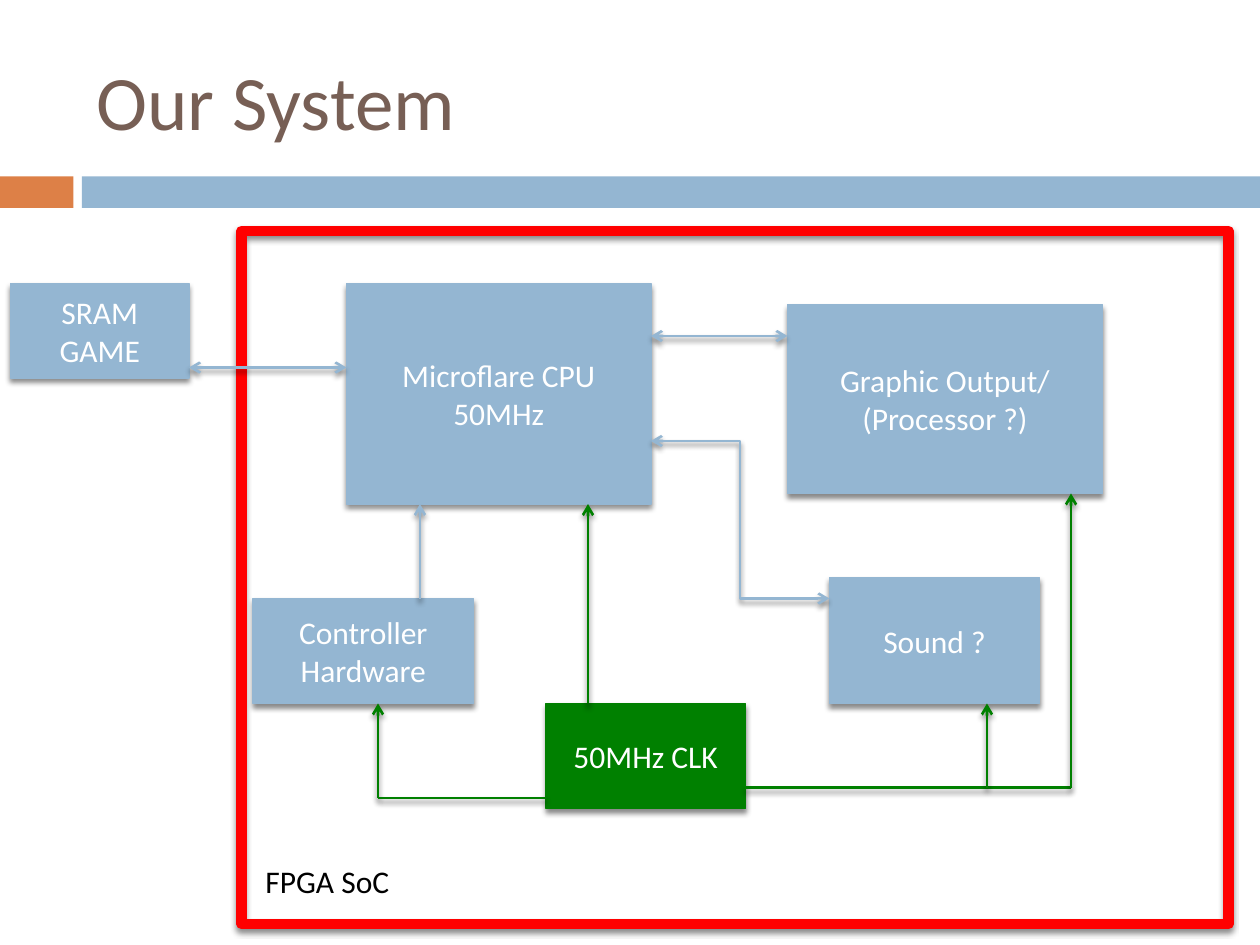
from dataclasses import dataclass

from pptx import Presentation
from pptx.dml.color import RGBColor
from pptx.enum.shapes import MSO_CONNECTOR as Connector, MSO_SHAPE as Preset
from pptx.enum.text import MSO_ANCHOR as Anchor, PP_ALIGN as Align
from pptx.oxml import parse_xml
from pptx.oxml.ns import nsdecls
from pptx.util import Inches, Pt

COLUMNS, ROWS = 120, 90
FONT = "Calibri"
BLUE, GREEN, RED, ORANGE = "94B6D2", "008000", "FF0000", "DD8047"
WHITE, BLACK, BROWN = "FFFFFF", "000000", "775F55"


@dataclass(frozen=True)
class Area:
    column: float
    row: float
    columns: float
    rows: float


@dataclass(frozen=True)
class Block:
    area: Area
    lines: tuple[str, ...]
    color: str = BLUE


@dataclass(frozen=True)
class Link:
    start: tuple[float, float]
    end: tuple[float, float]
    color: str = BLUE
    head: bool = False
    tail: bool = True
    kind: Connector = Connector.STRAIGHT


BARS = ((Area(0, 16.8, 7, 3), ORANGE), (Area(7.8, 16.8, 112.2, 3), BLUE))
TITLE = Area(8, 3, 107, 13)
FRAME = Area(23, 22, 94, 66)
FRAME_LABEL = Area(24.1, 81.5, 21, 4.8)

BLOCKS = (
    Block(Area(1, 27, 17, 9), ("SRAM", "GAME")),
    Block(Area(33, 27, 29, 21), ("Microflare CPU", "50MHz")),
    Block(Area(24.1, 57, 21, 10), ("Controller", "Hardware")),
    Block(Area(52, 67, 19, 10), ("50MHz CLK",), GREEN),
    Block(Area(75, 29, 30, 18), ("Graphic Output/", "(Processor ?)")),
    Block(Area(79, 55, 20, 12), ("Sound ?",)),
)

LINKS = (
    Link((62, 32), (75, 32), head=True),
    Link((18, 35), (33, 35), head=True),
    Link((40, 57), (40, 48)),
    Link((79, 57), (62, 42), head=True, kind=Connector.ELBOW),
    Link((56, 67), (56, 48), GREEN),
    Link((36, 76), (36, 67), GREEN),
    Link((36, 76), (52, 76), GREEN, tail=False),
    Link((71, 75), (102, 75), GREEN, tail=False),
    Link((102, 75), (102, 47), GREEN),
    Link((94, 75), (94, 67), GREEN),
)

presentation = Presentation()
presentation.slide_width, presentation.slide_height = Inches(10), Inches(7.5)
slide = presentation.slides.add_slide(presentation.slide_layouts[5])


def rgb(color: str) -> RGBColor:
    return RGBColor.from_string(color)


def across(columns: float) -> int:
    return round(presentation.slide_width * columns / COLUMNS)


def down(rows: float) -> int:
    return round(presentation.slide_height * rows / ROWS)


def box(area: Area) -> tuple[int, int, int, int]:
    return across(area.column), down(area.row), across(area.columns), down(area.rows)


def set_line(shape, color: str, width: float) -> None:
    shape.line.color.rgb = rgb(color)
    shape.line.width = Pt(width)


def add_shadow(shape) -> None:
    shape._element.spPr.append(parse_xml(
        f'<a:effectLst {nsdecls("a")}>'
        '<a:outerShdw blurRad="38100" dist="30000" dir="5400000" rotWithShape="0">'
        '<a:srgbClr val="000000"><a:alpha val="45000"/></a:srgbClr>'
        '</a:outerShdw></a:effectLst>'))


def write(shape, lines: tuple[str, ...], size: int, color: str,
          align: Align = Align.LEFT, anchor: Anchor = Anchor.MIDDLE) -> None:
    frame = shape.text_frame
    frame.word_wrap = True
    frame.vertical_anchor = anchor
    frame.text = "\n".join(lines)
    for paragraph in frame.paragraphs:
        paragraph.alignment = align
        paragraph.font.name = FONT
        paragraph.font.size = Pt(size)
        paragraph.font.color.rgb = rgb(color)


def draw_title(area: Area, text: str) -> None:
    title = slide.shapes.title
    title.left, title.top, title.width, title.height = box(area)
    write(title, (text,), 44, BROWN)


def draw_bar(area: Area, color: str) -> None:
    shape = slide.shapes.add_shape(Preset.RECTANGLE, *box(area))
    shape.fill.solid()
    shape.fill.fore_color.rgb = rgb(color)
    shape.line.fill.background()
    shape.shadow.inherit = False


def draw_frame(area: Area, label_area: Area, label: str) -> None:
    shape = slide.shapes.add_shape(Preset.RECTANGLE, *box(area))
    shape.fill.background()
    set_line(shape, RED, 6)
    add_shadow(shape)
    write(slide.shapes.add_textbox(*box(label_area)), (label,), 18, BLACK,
          anchor=Anchor.TOP)


def draw_block(block: Block) -> None:
    shape = slide.shapes.add_shape(Preset.RECTANGLE, *box(block.area))
    shape.fill.solid()
    shape.fill.fore_color.rgb = rgb(block.color)
    set_line(shape, block.color, 0.79)
    add_shadow(shape)
    write(shape, block.lines, 18, WHITE, Align.CENTER)


def draw_link(link: Link) -> None:
    (start_column, start_row), (end_column, end_row) = link.start, link.end
    connector = slide.shapes.add_connector(
        link.kind, across(start_column), down(start_row),
        across(end_column), down(end_row))
    set_line(connector, link.color, 1.5)
    for name, shown in (("headEnd", link.head), ("tailEnd", link.tail)):
        if shown:
            connector.line._get_or_add_ln().append(
                parse_xml(f'<a:{name} {nsdecls("a")} type="arrow"/>'))
    add_shadow(connector)


def main() -> None:
    for area, color in BARS:
        draw_bar(area, color)
    draw_title(TITLE, "Our System")
    draw_frame(FRAME, FRAME_LABEL, "FPGA SoC")
    for block in BLOCKS:
        draw_block(block)
    for link in LINKS:
        draw_link(link)
    presentation.save("out.pptx")


if __name__ == "__main__":
    main()
